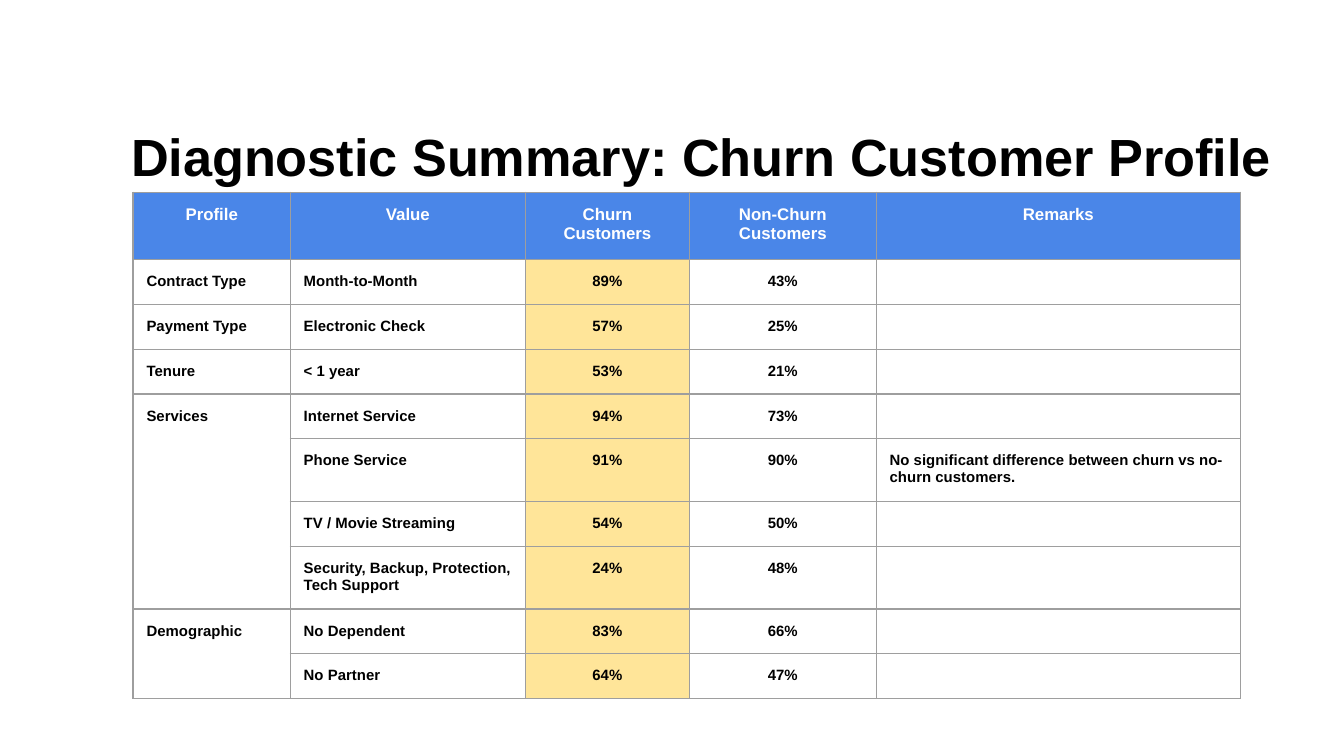
from dataclasses import dataclass

import lxml.etree
import pptx
import pptx.dml.color
import pptx.enum.text
import pptx.oxml.ns
import pptx.presentation
import pptx.slide
import pptx.table
import pptx.text.text
import pptx.util

Inches = pptx.util.Inches
Pt = pptx.util.Pt
RGBColor = pptx.dml.color.RGBColor
PP_ALIGN = pptx.enum.text.PP_ALIGN
qn = pptx.oxml.ns.qn

BLACK = RGBColor(0x00, 0x00, 0x00)
WHITE = RGBColor(0xFF, 0xFF, 0xFF)
HEADER_BLUE = RGBColor(0x4A, 0x86, 0xE8)
CHURN_YELLOW = RGBColor(0xFF, 0xE5, 0x99)
BORDER_GRAY = RGBColor(0x9E, 0x9E, 0x9E)

FONT = "Arial"
HEADER_SIZE = 9
BODY_SIZE = 8
SLIDE_WIDTH = 10
CELL_MARGIN = Inches(0.1)
TABLE_SIZE = Inches(3.28)
HEADER_HEIGHT = 0.46
COLUMN_WIDTHS = (1.17, 1.75, 1.22, 1.39, 2.71)
HEADERS = ("Profile", "Value", "Churn Customers", "Non-Churn Customers", "Remarks")
CHURN_COLUMN = 2
CENTERED_COLUMNS = (2, 3)


@dataclass
class ProfileRow:
    """One body row; its height is a minimum that grows with the text."""
    height: float
    profile: str
    value: str
    churn: int
    non_churn: int
    remarks: str = ""
    profile_span: int = 1

    def texts(self) -> tuple[str, ...]:
        return (self.profile, self.value, f"{self.churn}%", f"{self.non_churn}%", self.remarks)


ROWS = (
    ProfileRow(0.32, "Contract Type", "Month-to-Month", 89, 43),
    ProfileRow(0.32, "Payment Type", "Electronic Check", 57, 25),
    ProfileRow(0.32, "Tenure", "< 1 year", 53, 21),
    ProfileRow(0.28, "Services", "Internet Service", 94, 73, profile_span=4),
    ProfileRow(0.28, "", "Phone Service", 91, 90,
               "No significant difference between churn vs no-churn customers."),
    ProfileRow(0.3, "", "TV / Movie Streaming", 54, 50),
    ProfileRow(0.39, "", "Security, Backup, Protection, Tech Support", 24, 48),
    ProfileRow(0, "Demographic", "No Dependent", 83, 66, profile_span=2),
    ProfileRow(0, "", "No Partner", 64, 47),
)


def add_run(paragraph: pptx.text.text._Paragraph, text: str, size: float, color: RGBColor) -> None:
    run = paragraph.add_run()
    run.text = text
    run.font.name = FONT
    run.font.size = Pt(size)
    run.font.bold = True
    run.font.color.rgb = color


def add_borders(cell: pptx.table._Cell) -> None:
    properties = cell._tc.get_or_add_tcPr()
    for index, side in enumerate(("a:lnL", "a:lnR", "a:lnT", "a:lnB")):
        line = lxml.etree.Element(qn(side), w=str(Pt(0.75)))
        fill = lxml.etree.SubElement(line, qn("a:solidFill"))
        lxml.etree.SubElement(fill, qn("a:srgbClr"), val=str(BORDER_GRAY))
        properties.insert(index, line)


def fill_cell(cell: pptx.table._Cell, text: str, size: float, color: RGBColor,
              background: RGBColor | None, centered: bool) -> None:
    cell.margin_left = cell.margin_right = CELL_MARGIN
    cell.margin_top = cell.margin_bottom = CELL_MARGIN
    if background is None:
        cell.fill.background()
    else:
        cell.fill.solid()
        cell.fill.fore_color.rgb = background
    add_borders(cell)
    paragraph = cell.text_frame.paragraphs[0]
    paragraph.alignment = PP_ALIGN.CENTER if centered else PP_ALIGN.LEFT
    if text:
        add_run(paragraph, text, size, color)
    else:
        # Keep empty cells from stretching their row
        lxml.etree.SubElement(paragraph._p, qn("a:endParaRPr"), sz=str(size * 100))


def add_title(slide: pptx.slide.Slide) -> None:
    title = slide.shapes.add_textbox(Inches(0.9), Inches(0.24), Inches(8.87), Inches(1.19))
    frame = title.text_frame
    frame.word_wrap = True
    frame.vertical_anchor = pptx.enum.text.MSO_ANCHOR.BOTTOM
    frame.margin_left = frame.margin_right = Pt(5.4)
    frame.margin_top = frame.margin_bottom = Pt(2.7)
    paragraph = frame.paragraphs[0]
    paragraph.line_spacing = 0.85
    add_run(paragraph, "Diagnostic Summary: Churn Customer Profile", 28, BLACK)


def add_profile_table(slide: pptx.slide.Slide) -> None:
    heights = [HEADER_HEIGHT] + [row.height for row in ROWS]
    graphic_frame = slide.shapes.add_table(
        len(heights), len(COLUMN_WIDTHS), Inches(0.99), Inches(1.43), TABLE_SIZE, TABLE_SIZE)
    table = graphic_frame.table
    table.first_row = False
    table.horz_banding = False
    for column, width in zip(table.columns, COLUMN_WIDTHS):
        column.width = Inches(width)
    for table_row, height in zip(table.rows, heights):
        table_row.height = Inches(height)
    # The frame follows the cells, so its own size is set last
    graphic_frame.width = graphic_frame.height = TABLE_SIZE

    # Header row
    for column_index, header in enumerate(HEADERS):
        fill_cell(table.cell(0, column_index), header, HEADER_SIZE, WHITE, HEADER_BLUE, True)

    # Body rows
    for row_index, row in enumerate(ROWS, start=1):
        for column_index, text in enumerate(row.texts()):
            background = CHURN_YELLOW if column_index == CHURN_COLUMN else None
            fill_cell(table.cell(row_index, column_index), text, BODY_SIZE, BLACK,
                      background, column_index in CENTERED_COLUMNS)

    # Profiles that cover several rows
    for row_index, row in enumerate(ROWS, start=1):
        if row.profile_span > 1:
            last_cell = table.cell(row_index + row.profile_span - 1, 0)
            table.cell(row_index, 0).merge(last_cell)


def main() -> None:
    presentation = pptx.Presentation()
    presentation.slide_width = Inches(SLIDE_WIDTH)
    presentation.slide_height = Inches(SLIDE_WIDTH * 9 / 16)
    slide = presentation.slides.add_slide(presentation.slide_layouts[6])
    add_title(slide)
    add_profile_table(slide)
    presentation.save("out.pptx")


if __name__ == "__main__":
    main()
